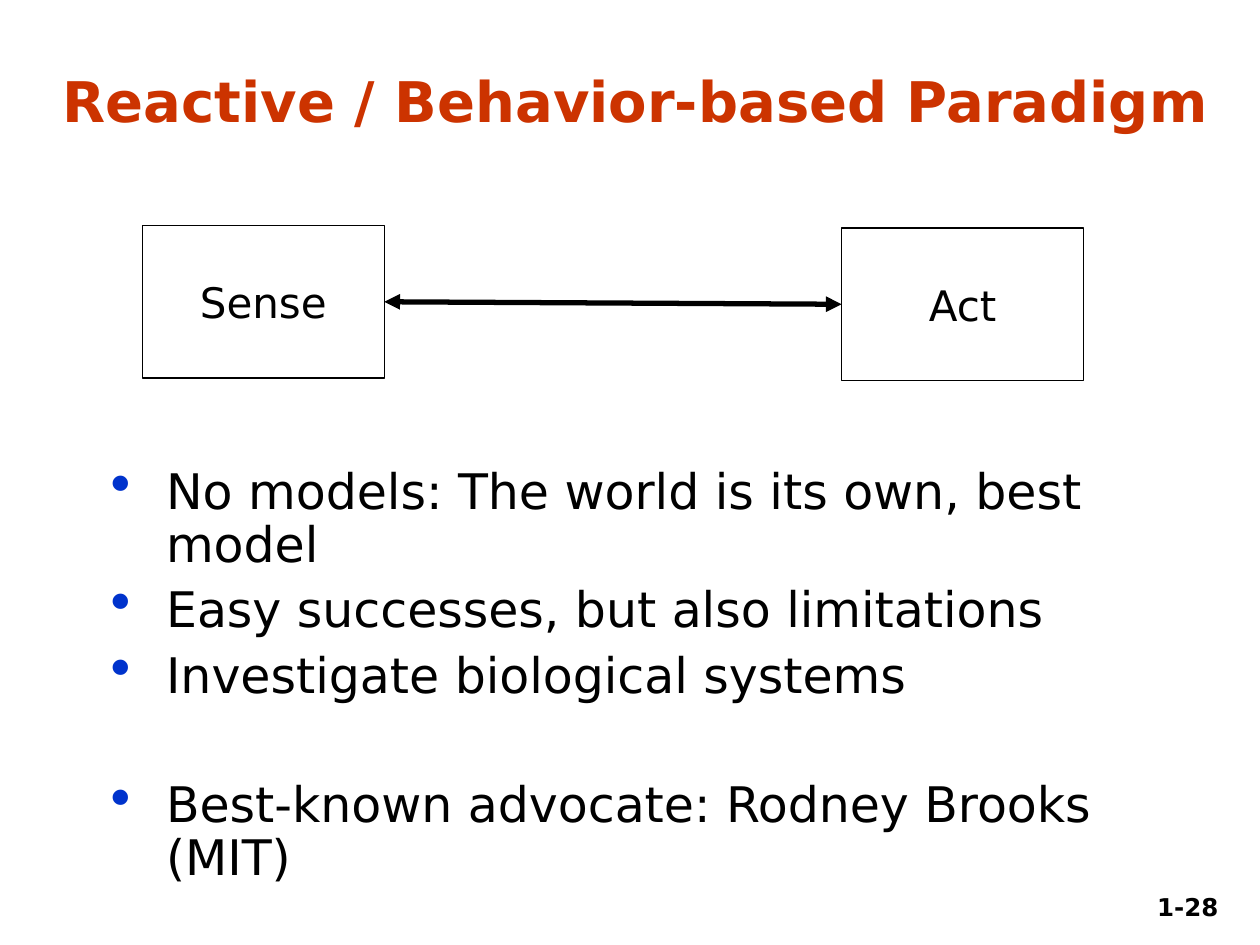
from lxml import etree
from pptx import Presentation
from pptx.dml.color import RGBColor
from pptx.enum.shapes import MSO_CONNECTOR, MSO_SHAPE
from pptx.enum.text import MSO_ANCHOR as Anchor, PP_ALIGN as Align
from pptx.oxml.ns import qn
from pptx.util import Inches, Pt

FONT = "DejaVu Sans"
COLORS = {"title": "CC3300", "ink": "000000", "paper": "FFFFFF", "bullet": "0033CC"}
ADVICE = [
    ("No models: The world is its own, best model", 0),
    ("Easy successes, but also limitations", 7),
    ("Investigate biological systems", 7),
    ("Best-known advocate: Rodney Brooks (MIT)", 44),
]


def rgb(name):
    """Return the named palette colour."""
    return RGBColor.from_string(COLORS[name])


def add_bullet(paragraph):
    """Give a paragraph a hanging blue bullet."""
    props = paragraph._p.get_or_add_pPr()
    props.set("marL", str(Inches(0.44)))
    props.set("indent", str(Inches(-0.44)))
    color = etree.SubElement(props, qn("a:buClr"))
    etree.SubElement(color, qn("a:srgbClr"), val=COLORS["bullet"])
    etree.SubElement(props, qn("a:buSzPct"), val="120000")
    etree.SubElement(props, qn("a:buChar"), char="•")


def write(paragraph, text, size=24, color="ink", bold=False, align=Align.LEFT):
    """Put formatted text into a paragraph."""
    paragraph.alignment = align
    run = paragraph.add_run()
    run.text = text
    font = run.font
    font.name, font.size, font.bold = FONT, Pt(size), bold
    font.color.rgb = rgb(color)


def add_label(slide, text, left, top, width, height, **style):
    """Place one bottom-anchored line of text."""
    frame = slide.shapes.add_textbox(left, top, width, height).text_frame
    frame.word_wrap = True
    frame.vertical_anchor = Anchor.BOTTOM
    write(frame.paragraphs[0], text, **style)


def add_stage(slide, name, left, top, width, height):
    """Draw one outlined stage of the paradigm."""
    stage = slide.shapes.add_shape(MSO_SHAPE.RECTANGLE, left, top, width, height)
    stage.shadow.inherit = False
    stage.fill.solid()
    stage.fill.fore_color.rgb = rgb("paper")
    stage.line.color.rgb = rgb("ink")
    stage.line.width = Pt(0.75)
    frame = stage.text_frame
    frame.word_wrap = False
    frame.vertical_anchor = Anchor.MIDDLE
    write(frame.paragraphs[0], name, align=Align.CENTER)
    return stage


def add_diagram(slide, left, top, width):
    """Draw Sense and Act joined by a two-way arrow."""
    stage_width, stage_height = Inches(1.92), Inches(1.21)
    sense = add_stage(slide, "Sense", left, top, stage_width, stage_height)
    act = add_stage(slide, "Act", left + width - stage_width, top + Inches(0.02),
                    stage_width, stage_height)
    arrow = slide.shapes.add_connector(MSO_CONNECTOR.STRAIGHT, 0, 0, 0, 0)
    arrow.begin_connect(sense, 3)
    arrow.end_connect(act, 1)
    arrow.line.color.rgb = rgb("ink")
    arrow.line.width = Pt(3)
    outline = arrow.line._get_or_add_ln()
    for end in ("a:headEnd", "a:tailEnd"):
        etree.SubElement(outline, qn(end), type="triangle")
    etree.SubElement(arrow._element.spPr, qn("a:effectLst"))


def add_advice(slide, left, top, width, height):
    """List the points about the paradigm."""
    frame = slide.shapes.add_textbox(left, top, width, height).text_frame
    frame.word_wrap = True
    for index, (point, gap) in enumerate(ADVICE):
        paragraph = frame.add_paragraph() if index else frame.paragraphs[0]
        add_bullet(paragraph)
        paragraph.line_spacing = 0.9
        paragraph.space_before = Pt(gap)
        write(paragraph, point, size=28)


def main():
    """Build and save the slide."""
    deck = Presentation()
    deck.slide_width, deck.slide_height = Inches(10), Inches(7.5)
    slide = deck.slides.add_slide(deck.slide_layouts[6])
    add_label(slide, "1-28", Inches(8.67), Inches(6.86), Inches(1.1), Inches(0.5),
              size=14, bold=True, align=Align.RIGHT)
    add_label(slide, "Reactive / Behavior-based Paradigm", Inches(0.4), Inches(0.48),
              Inches(9.48), Inches(0.63), size=32, color="title", bold=True)
    add_diagram(slide, Inches(1.13), Inches(1.79), Inches(7.47))
    add_advice(slide, Inches(0.78), Inches(3.66), Inches(8.47), Inches(2.41))
    deck.save("out.pptx")


if __name__ == "__main__":
    main()
